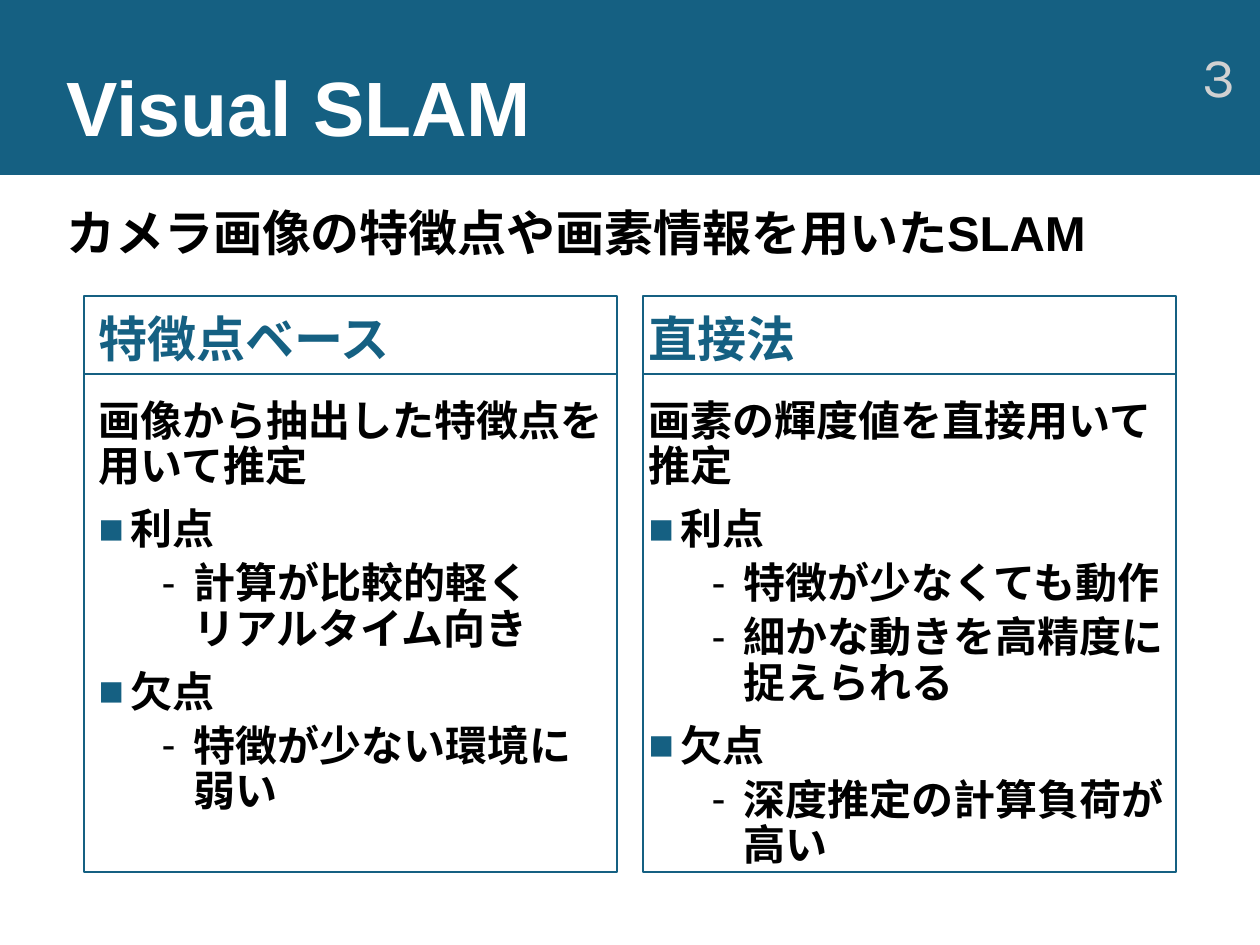
from dataclasses import dataclass
from typing import Any

import lxml.etree
import pptx
import pptx.dml.color
import pptx.enum.shapes
import pptx.enum.text
import pptx.oxml.ns
import pptx.util

PX = 914400 / 126
Anchor = pptx.enum.text.MSO_ANCHOR
Align = pptx.enum.text.PP_ALIGN


@dataclass(frozen=True)
class Theme:
    accent: str = "156082"
    white: str = "FFFFFF"
    black: str = "000000"
    muted: str = "D1D1D1"
    font: str = "Arial"
    number_font: str = "Karla"
    title: int = 44
    number: int = 32
    heading: int = 28
    body: int = 24
    line: float = 1.5


@dataclass(frozen=True)
class Box:
    left: int
    top: int
    width: int
    height: int


@dataclass(frozen=True)
class Item:
    text: str
    bullet: str = ""
    level: int = 0


@dataclass(frozen=True)
class Method:
    frame_left: int
    text_left: int
    text_width: int
    heading: str
    items: tuple[Item, ...]


THEME = Theme()
FRAME_TOP, FRAME_WIDTH, FRAME_HEIGHT, DIVIDER = 296, 533, 576, 374
PROS = Item("利点", "■")
CONS = Item("欠点", "■")
METHODS = (
    Method(84, 86, 533, "特徴点ベース", (
        Item("画像から抽出した特徴点を\v用いて推定"),
        PROS,
        Item("計算が比較的軽く\vリアルタイム向き", "-", 1),
        CONS,
        Item("特徴が少ない環境に\v弱い", "-", 1),
    )),
    Method(643, 636, 563, "直接法", (
        Item("画素の輝度値を直接用いて\v推定"),
        PROS,
        Item("特徴が少なくても動作", "-", 1),
        Item("細かな動きを高精度に\v捉えられる", "-", 1),
        CONS,
        Item("深度推定の計算負荷が\v高い", "-", 1),
    )),
)


def emu(px: int) -> int:
    return round(px * PX)


def edges(box: Box) -> tuple[int, int, int, int]:
    return emu(box.left), emu(box.top), emu(box.width), emu(box.height)


def rgb(color: str) -> pptx.dml.color.RGBColor:
    return pptx.dml.color.RGBColor.from_string(color)


def add_bullet(paragraph: Any, item: Item) -> None:
    qn = pptx.oxml.ns.qn
    properties = paragraph._p.get_or_add_pPr()
    hanging = pptx.util.Inches(0.25) if item.bullet else 0
    margin = hanging + pptx.util.Inches(0.5) * item.level
    properties.set("marL", str(margin))
    properties.set("indent", str(-hanging))
    if not item.bullet:
        lxml.etree.SubElement(properties, qn("a:buNone"))
        return
    color = THEME.black if item.level else THEME.accent
    fill = lxml.etree.SubElement(properties, qn("a:buClr"))
    lxml.etree.SubElement(fill, qn("a:srgbClr")).set("val", color)
    lxml.etree.SubElement(properties, qn("a:buFont")).set("typeface", THEME.font)
    lxml.etree.SubElement(properties, qn("a:buChar")).set("char", item.bullet)


def write(shape: Any, box: Box, items: tuple[Item, ...], size: int, color: str,
          anchor: Any, align: Any = Align.LEFT, font: str = THEME.font,
          bold: bool = True, spacing: float = 0.9) -> None:
    shape.left, shape.top, shape.width, shape.height = edges(box)
    frame = shape.text_frame
    frame.word_wrap = True
    frame.auto_size = pptx.enum.text.MSO_AUTO_SIZE.NONE
    frame.vertical_anchor = anchor
    for index, item in enumerate(items):
        paragraph = frame.add_paragraph() if index else frame.paragraphs[0]
        paragraph.text = item.text
        paragraph.level = item.level
        paragraph.alignment = align
        add_bullet(paragraph, item)
        paragraph.line_spacing = spacing
        before = (5 if item.level else 10) if index else 0
        paragraph.space_before = pptx.util.Pt(before)
        paragraph.space_after = pptx.util.Pt(0)
        for run in paragraph.runs:
            run.font.name = font
            run.font.size = pptx.util.Pt(size)
            run.font.bold = bold
            run.font.color.rgb = rgb(color)


def add_rectangle(slide: Any, box: Box) -> Any:
    rectangle = slide.shapes.add_shape(
        pptx.enum.shapes.MSO_SHAPE.RECTANGLE, *edges(box))
    rectangle.shadow.inherit = False
    return rectangle


def add_band(slide: Any) -> None:
    band = add_rectangle(slide, Box(0, 0, 1260, 175))
    band.fill.solid()
    band.fill.fore_color.rgb = rgb(THEME.accent)
    band.line.fill.background()
    slide.shapes.element.insert(2, band.element)


def outline(line: Any) -> None:
    line.color.rgb = rgb(THEME.accent)
    line.width = pptx.util.Pt(THEME.line)


def add_frame(slide: Any, left: int) -> None:
    frame = add_rectangle(slide, Box(left, FRAME_TOP, FRAME_WIDTH, FRAME_HEIGHT))
    frame.fill.background()
    outline(frame.line)
    divider = slide.shapes.add_connector(
        pptx.enum.shapes.MSO_CONNECTOR.STRAIGHT,
        emu(left), emu(DIVIDER), emu(left + FRAME_WIDTH), emu(DIVIDER))
    outline(divider.line)
    lxml.etree.SubElement(divider.element.spPr, pptx.oxml.ns.qn("a:effectLst"))


def add_method(slide: Any, method: Method, heading: Any, body: Any) -> None:
    write(heading, Box(method.text_left, 306, method.text_width, 68),
          (Item(method.heading),), THEME.heading, THEME.accent, Anchor.BOTTOM)
    write(body, Box(method.text_left, 394, method.text_width, 489),
          method.items, THEME.body, THEME.black, Anchor.TOP)
    add_frame(slide, method.frame_left)


def main() -> None:
    deck = pptx.Presentation()
    deck.slide_width, deck.slide_height = emu(1260), emu(945)
    slide = deck.slides.add_slide(deck.slide_layouts.get_by_name("Comparison"))
    add_band(slide)
    write(slide.shapes.title, Box(54, 50, 1119, 123), (Item("Visual SLAM"),),
          THEME.title, THEME.white, Anchor.MIDDLE)

    number_box = Box(964, 50, 284, 50)
    number = slide.shapes.add_textbox(*edges(number_box))
    write(number, number_box, (Item("3"),), THEME.number, THEME.muted,
          Anchor.MIDDLE, Align.RIGHT, THEME.number_font, False, 1.0)

    summary_box = Box(54, 200, 1200, 68)
    summary = slide.shapes.add_textbox(*edges(summary_box))
    write(summary, summary_box, (Item("カメラ画像の特徴点や画素情報を用いたSLAM"),),
          THEME.heading, THEME.black, Anchor.BOTTOM)

    heading_left, body_left, heading_right, body_right = list(slide.placeholders)[1:]
    add_method(slide, METHODS[0], heading_left, body_left)
    add_method(slide, METHODS[1], heading_right, body_right)
    deck.save("out.pptx")


if __name__ == "__main__":
    main()
